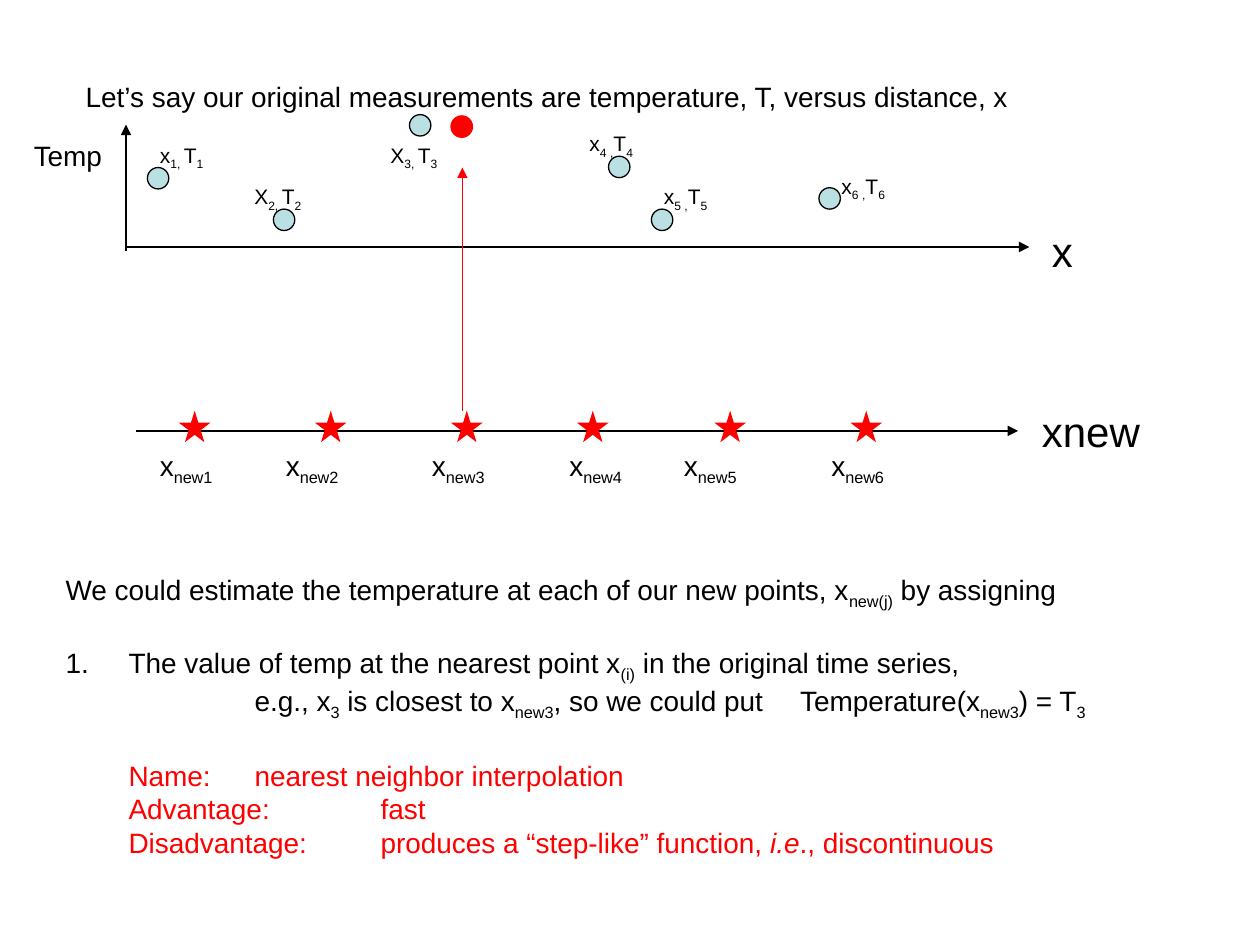
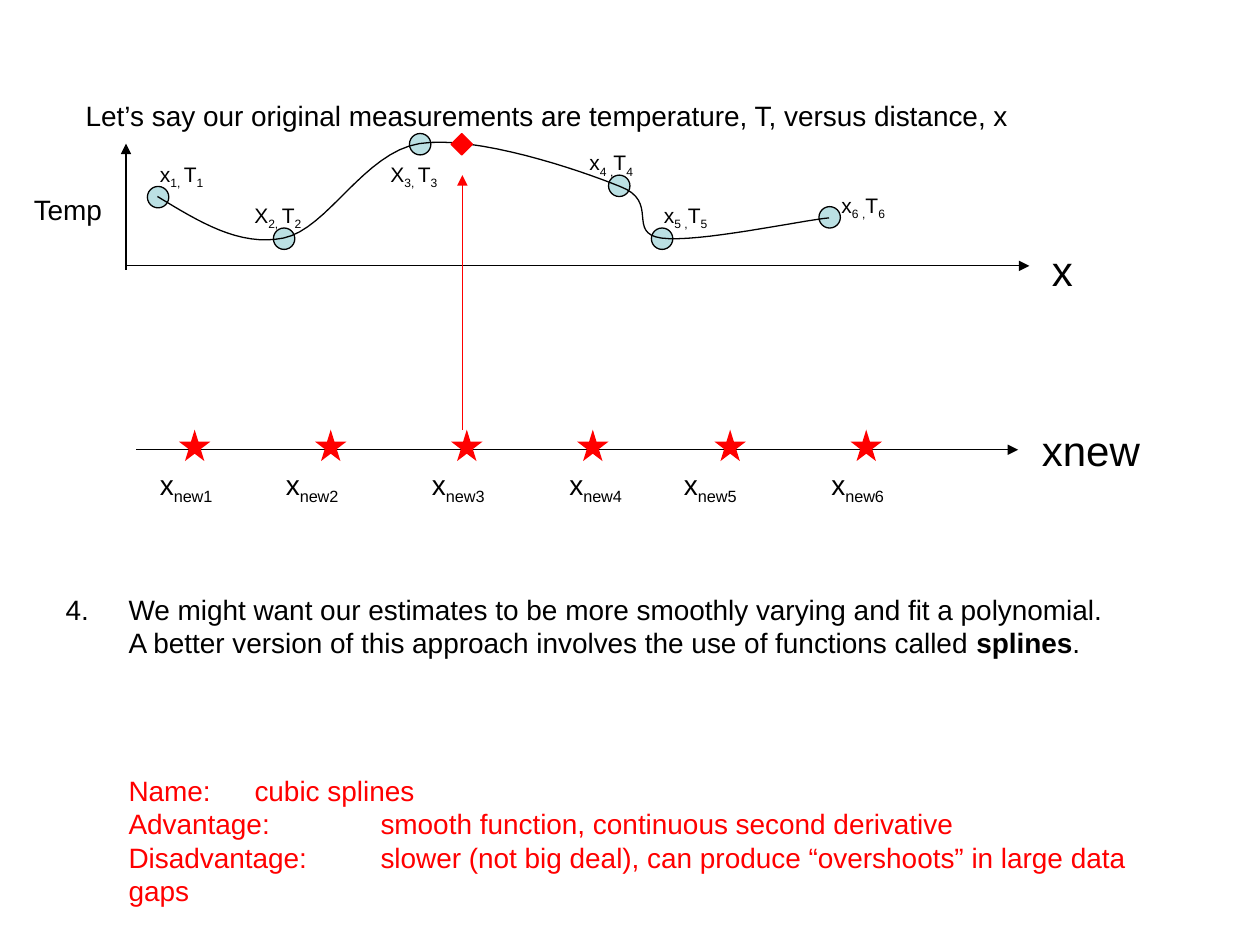
from lxml.etree import SubElement
from pptx import Presentation
from pptx.dml.color import RGBColor
from pptx.enum.shapes import MSO_CONNECTOR as CONN, MSO_SHAPE as SHAPE
from pptx.enum.text import MSO_ANCHOR as ANCHOR, MSO_AUTO_SIZE as AUTO, PP_ALIGN as ALIGN
from pptx.oxml.ns import qn
from pptx.util import Inches, Pt

BLACK, RED, PALE = "000000", "FF0000", "BBE0E3"
DOT, STAR = 0.17, 0.25

MEASURED = [
    (1.17, 1.33, 1.17, 1.08, 0.57, "x|1, |T|1"),
    (2.17, 1.66, 1.92, 1.41, 0.6, "X|2, |T|2"),
    (3.25, 0.91, 3, 1.08, 0.6, "X|3, |T|3"),
    (4.83, 1.24, 4.58, 0.99, 0.57, "x|4 ,|T|4"),
    (5.17, 1.66, 5.17, 1.41, 0.57, "x|5 ,|T|5"),
    (6.5, 1.49, 6.58, 1.33, 0.57, "x|6 ,|T|6"),
]
NEW_POINTS = [(1.42, 1.17), (2.5, 2.17), (3.58, 3.33), (4.58, 4.42), (5.67, 5.33), (6.75, 6.5)]
SPLINE = [
    (1.25, 1.56), (1.58, 1.76), (1.9, 1.96), (2.25, 1.89), (2.6, 1.82), (2.89, 1.21),
    (3.33, 1.14), (3.78, 1.07), (4.6, 1.35), (4.92, 1.48), (5.24, 1.6), (4.97, 1.85),
    (5.25, 1.89), (5.53, 1.93), (6.36, 1.75), (6.58, 1.73),
]


def rgb(value):
    return RGBColor.from_string(value)


def bezier(a, b, c, d, t):
    u = 1 - t
    return tuple(u**3 * i + 3 * u * u * t * j + 3 * u * t * t * k + t**3 * m
                 for i, j, k, m in zip(a, b, c, d))


class Deck:
    font = "Arial"
    line_width = Pt(0.75)

    def __init__(self):
        self.prs = Presentation()
        self.prs.slide_width, self.prs.slide_height = Inches(10), Inches(7.5)

    def slide(self):
        self.s = self.prs.slides.add_slide(self.prs.slide_layouts[1])

    def runs(self, p, text, size=16, color=BLACK, accent="sub"):
        for i, part in enumerate(text.split("|")):
            r = p.add_run()
            r.text = part
            r.font.name, r.font.size = self.font, Pt(size)
            r.font.color.rgb = rgb(color)
            if i % 2 and accent == "sub":
                r._r.get_or_add_rPr().set("baseline", "-25000")
            elif i % 2:
                setattr(r.font, accent, True)

    def place(self, sp, x, y, w, h):
        sp.left, sp.top, sp.width, sp.height = map(Inches, (x, y, w, h))
        tf = sp.text_frame
        tf.word_wrap, tf.auto_size = True, AUTO.SHAPE_TO_FIT_TEXT
        tf.vertical_anchor = ANCHOR.TOP
        return tf

    def title(self, text, y):
        p = self.place(self.s.shapes.title, 0.58, y, 8.33, 0.37).paragraphs[0]
        p.alignment = ALIGN.LEFT
        self.runs(p, text)

    def body(self, y, w, h, items):
        tf = self.place(self.s.placeholders[1], 0.42, y, w, h)
        for i, item in enumerate(items):
            p = tf.paragraphs[0] if i == 0 else tf.add_paragraph()
            self.paragraph(p, **item)

    def paragraph(self, p, text, margin=0.5, indent=0, number=None, gap=0, tab=1, **style):
        p.space_before = Pt(gap)
        pPr = p._p.get_or_add_pPr()
        for name, length in (("marL", margin), ("indent", indent), ("defTabSz", tab)):
            pPr.set(name, str(Inches(length)))
        if number:
            SubElement(pPr, qn("a:buFont"), typeface="+mj-lt")
            SubElement(pPr, qn("a:buAutoNum"), type="arabicPeriod", startAt=str(number))
        else:
            SubElement(pPr, qn("a:buNone"))
        self.runs(p, text, **style)

    def label(self, x, y, w, h, text, size=16):
        sp = self.s.shapes.add_textbox(*map(Inches, (x, y, w, h)))
        tf = sp.text_frame
        tf.word_wrap, tf.auto_size = False, AUTO.SHAPE_TO_FIT_TEXT
        self.runs(tf.paragraphs[0], text, size)

    def marker(self, kind, x, y, size, fill, line=None):
        sp = self.s.shapes.add_shape(kind, *map(Inches, (x, y, size, size)))
        sp.shadow.inherit = False
        sp.fill.solid()
        sp.fill.fore_color.rgb = rgb(fill)
        if line:
            sp.line.color.rgb, sp.line.width = rgb(line), self.line_width
        else:
            sp.line.fill.background()

    def arrow(self, x1, y1, x2, y2, color=BLACK):
        c = self.s.shapes.add_connector(CONN.STRAIGHT, *map(Inches, (x1, y1, x2, y2)))
        c.line.color.rgb, c.line.width = rgb(color), self.line_width
        spPr = c._element.spPr
        SubElement(spPr.find(qn("a:ln")), qn("a:tailEnd"), type="triangle")
        SubElement(spPr, qn("a:effectLst"))

    def curve(self, points, steps=16):
        line = [points[0]] + [bezier(*points[i:i + 4], n / steps)
                              for i in range(0, len(points) - 1, 3) for n in range(1, steps + 1)]
        start, *rest = [(Inches(x), Inches(y)) for x, y in line]
        fb = self.s.shapes.build_freeform(*start)
        fb.add_line_segments(rest, close=False)
        sp = fb.convert_to_shape()
        sp.shadow.inherit = False
        sp.fill.background()
        sp.line.color.rgb, sp.line.width = rgb(BLACK), self.line_width

    def diagram(self, dy, temp_y, arrow_end):
        self.title("Let’s say our original measurements are temperature, T, versus distance, x", 0.58 + dy)
        self.arrow(1, 1.96 + dy, 8.17, 1.96 + dy)
        self.arrow(1, 1.99 + dy, 1, 0.99 + dy)
        self.arrow(1.08, 3.42 + dy, 8.08, 3.42 + dy)
        self.label(8.25, 1.74 + dy, 0.37, 0.5, "x", 24)
        self.label(8.17, 3.17 + dy, 0.98, 0.5, "xnew", 24)
        self.label(0.17, temp_y, 0.77, 0.37, "Temp")
        for x, y, label_x, label_y, w, text in MEASURED:
            self.marker(SHAPE.OVAL, x, y + dy, DOT, PALE, BLACK)
            self.label(label_x, label_y + dy, w, 0.3, text, 12)
        for n, (x, label_x) in enumerate(NEW_POINTS, 1):
            self.marker(SHAPE.STAR_5_POINT, x, 3.26 + dy, STAR, RED)
            self.label(label_x, 3.51 + dy, 0.67, 0.37, f"x|new{n}")
        self.arrow(3.67, 3.26 + dy, 3.67, arrow_end, RED)


def summary(name, advantage, disadvantage, gap):
    return [
        dict(text=f"Name:\t{name}", color=RED, gap=gap),
        dict(text=f"Advantage:\t{advantage}", color=RED),
        dict(text=f"Disadvantage:\t{disadvantage}", color=RED, accent="italic"),
    ]


deck = Deck()

deck.slide()
deck.diagram(0, 1.05, 1.33)
deck.marker(SHAPE.OVAL, 3.58, 0.92, DOT, RED, RED)
deck.body(4.49, 8.67, 2.42, [
    dict(text="We could estimate the temperature at each of our new points, x|new(j)| by assigning",
         indent=-0.5),
    dict(text="The value of temp at the nearest point x|(i)| in the original time series,",
         indent=-0.5, number=1, gap=20),
    dict(text="e.g., x|3| is closest to x|new3|, so we could put\tTemperature(x|new3|) = T|3",
         margin=0, indent=1.5, tab=5.83),
    *summary("nearest neighbor interpolation", "fast",
             "produces a “step-like” function, |i.e|., discontinuous", 21),
])

deck.slide()
deck.diagram(0.15, 1.48, 1.39)
deck.curve(SPLINE)
deck.marker(SHAPE.DIAMOND, 3.58, 1.06, DOT, RED, RED)
deck.body(4.65, 8.92, 2.26, [
    dict(text="We might want our estimates to be more smoothly varying and fit a polynomial.",
         indent=-0.5, number=4),
    dict(text="A better version of this approach involves the use of functions called |splines|.",
         accent="bold"),
    *summary("cubic splines", "smooth function, continuous second derivative",
             "slower (not big deal), can produce “overshoots” in large data gaps", 65),
])

deck.prs.save("out.pptx")
